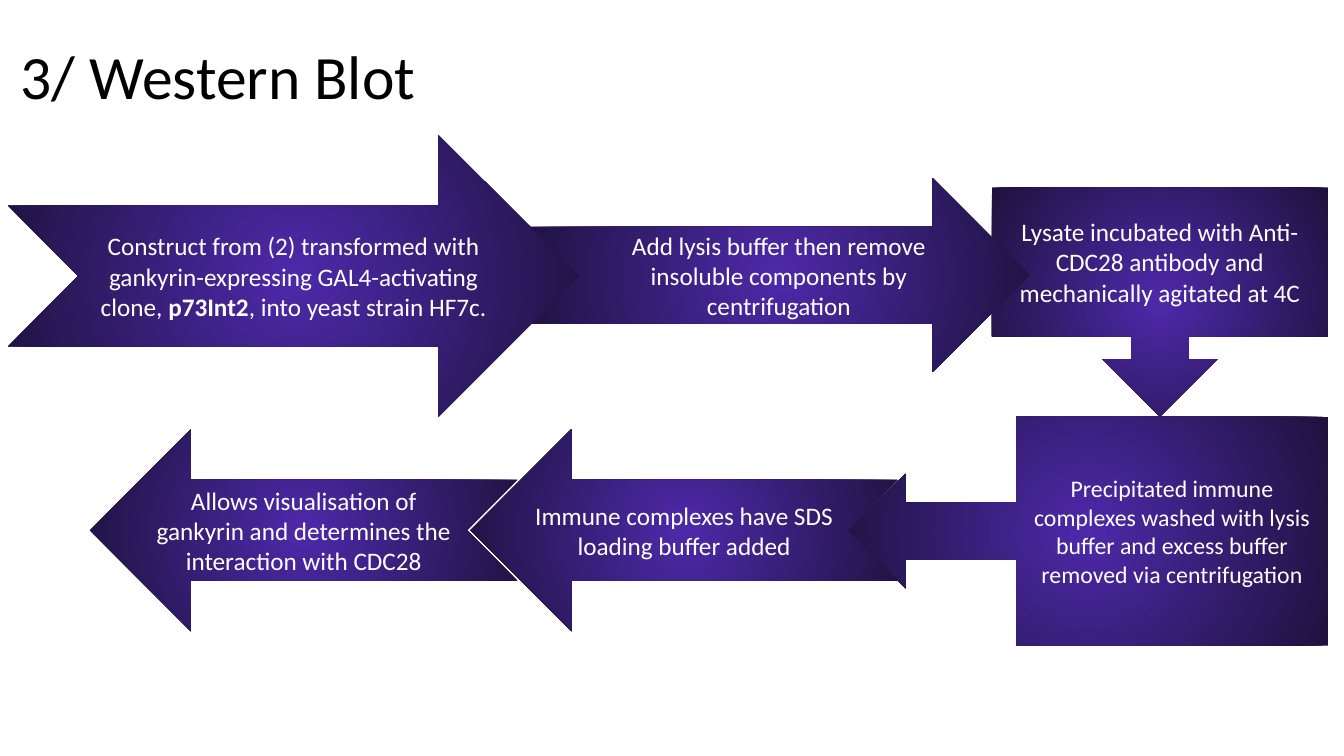
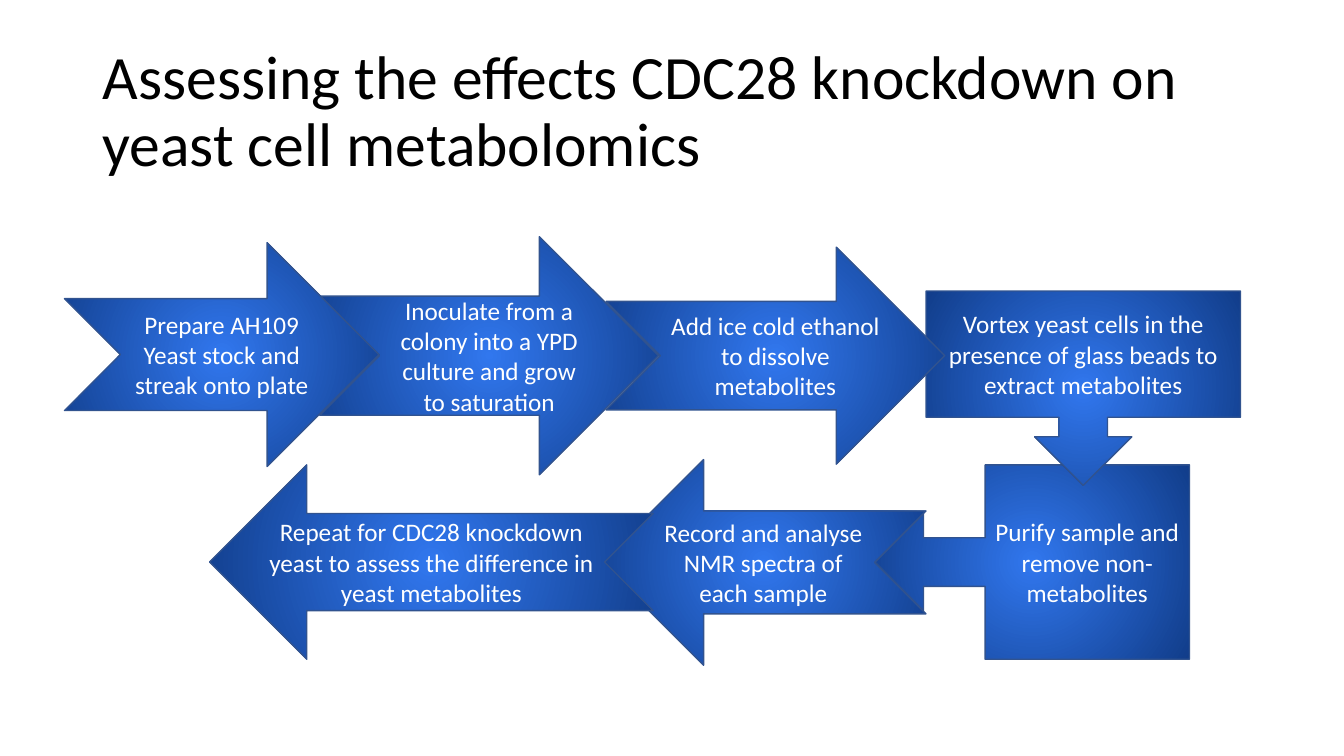
"""Build two slides of laboratory workflows drawn as chains of arrows."""
from lxml import etree
from pptx import Presentation
from pptx.dml.color import RGBColor
from pptx.enum.shapes import MSO_SHAPE
from pptx.enum.text import MSO_ANCHOR, PP_ALIGN
from pptx.oxml.ns import qn
from pptx.util import Inches, Pt

ARROW = MSO_SHAPE.NOTCHED_RIGHT_ARROW
DOWN_CALLOUT = MSO_SHAPE.DOWN_ARROW_CALLOUT
LEFT_CALLOUT = MSO_SHAPE.LEFT_ARROW_CALLOUT
MIDDLE = MSO_ANCHOR.MIDDLE
CENTER = PP_ALIGN.CENTER
LEFT = PP_ALIGN.LEFT

FONT = "Calibri"
TITLE_COLOR = "000000"
STEP_COLOR = "FFFFFF"
TITLE_SIZE = 44
STEP_SIZE = 18
BOLD_MARK = "**"

SLIDES = [
    {
        "title": "3/ Western Blot",
        "title_place": (0.8, 0.9, 96, 19.3),
        "gradient": ("4E29AA", "1E123D"),
        "outline": None,
        "steps": [
            (LEFT_CALLOUT, False, (63.1, 55.1, 35.7, 30.3), 17,
             "Precipitated immune complexes washed with lysis buffer and excess buffer removed via centrifugation"),
            (DOWN_CALLOUT, False, (73.8, 24.8, 25, 30.3), STEP_SIZE,
             "Lysate incubated with Anti-CDC28 antibody and mechanically agitated at 4C"),
            (ARROW, False, (39.3, 23.6, 37.3, 25.6), STEP_SIZE,
             "Add lysis buffer then remove insoluble components by centrifugation"),
            (ARROW, False, (0.6, 17.9, 42.5, 37.2), STEP_SIZE,
             "Construct from (2) transformed with gankyrin-expressing GAL4-activating clone, "
             "**p73Int2**, into yeast strain HF7c."),
            (ARROW, True, (35, 56.8, 31.8, 26.7), STEP_SIZE,
             "Immune complexes have SDS loading buffer added"),
            (ARROW, True, (6.7, 56.8, 31.8, 26.7), STEP_SIZE,
             "Allows visualisation of gankyrin and determines the interaction with CDC28"),
        ],
    },
    {
        "title": "Assessing the effects CDC28 knockdown on yeast cell metabolomics",
        "title_place": (6.9, 5.3, 86.2, 19.3),
        "gradient": ("3177EE", "113D8A"),
        "outline": "31538F",
        "steps": [
            (ARROW, False, (23.8, 31.3, 25.2, 31.5), STEP_SIZE,
             "Inoculate from a colony into a YPD culture and grow to saturation"),
            (LEFT_CALLOUT, False, (65.1, 61.5, 23.4, 25.7), STEP_SIZE,
             "Purify sample and remove non-metabolites"),
            (DOWN_CALLOUT, False, (68.9, 38.5, 23.4, 25.7), STEP_SIZE,
             "Vortex yeast cells in the presence of glass beads to extract metabolites"),
            (ARROW, False, (45.1, 32.7, 25.2, 28.7), STEP_SIZE,
             "Add ice cold ethanol to dissolve metabolites"),
            (ARROW, True, (44.7, 60.8, 24.2, 27.2), STEP_SIZE,
             "Record and analyse NMR spectra of each sample"),
            (ARROW, True, (15.6, 61.5, 33, 25.7), STEP_SIZE,
             "Repeat for CDC28 knockdown yeast to assess the difference in yeast metabolites"),
            (ARROW, False, (4.8, 32.1, 23.4, 29.6), STEP_SIZE,
             "Prepare AH109 Yeast stock and streak onto plate"),
        ],
    },
]

deck = Presentation()
deck.slide_width = Inches(13.33)
deck.slide_height = Inches(7.5)


def place(percents):
    left, top, width, height = percents
    return (int(deck.slide_width * left / 100), int(deck.slide_height * top / 100),
            int(deck.slide_width * width / 100), int(deck.slide_height * height / 100))


def write(box, text, size, color, align):
    frame = box.text_frame
    frame.word_wrap = True
    frame.vertical_anchor = MIDDLE
    para = frame.paragraphs[0]
    para.alignment = align
    for index, piece in enumerate(text.split(BOLD_MARK)):
        span = para.add_run()
        span.text = piece
        span.font.name = FONT
        span.font.size = Pt(size)
        span.font.bold = index % 2 == 1
        span.font.color.rgb = RGBColor.from_string(color)
    return para


for content in SLIDES:
    page = deck.slides.add_slide(deck.slide_layouts[6])
    title = page.shapes.add_textbox(*place(content["title_place"]))
    write(title, content["title"], TITLE_SIZE, TITLE_COLOR, LEFT).line_spacing = 0.9

    for preset, flipped, percents, size, text in content["steps"]:
        step = page.shapes.add_shape(preset, *place(percents))
        step.shadow.inherit = False
        properties = step._element.spPr
        if flipped:
            properties.find(qn("a:xfrm")).set("flipH", "1")

        step.fill.gradient()
        for stop, color in zip(step.fill.gradient_stops, content["gradient"]):
            stop.color.rgb = RGBColor.from_string(color)
        gradient = properties.find(qn("a:gradFill"))
        gradient.remove(gradient.find(qn("a:lin")))
        circle = etree.SubElement(gradient, qn("a:path"), {"path": "circle"})
        etree.SubElement(circle, qn("a:fillToRect"), dict.fromkeys("ltrb", "50000"))

        if content["outline"]:
            step.line.color.rgb = RGBColor.from_string(content["outline"])
            step.line.width = Pt(1)
        else:
            step.line.fill.background()
        write(step, text, size, STEP_COLOR, CENTER)

deck.save("out.pptx")
